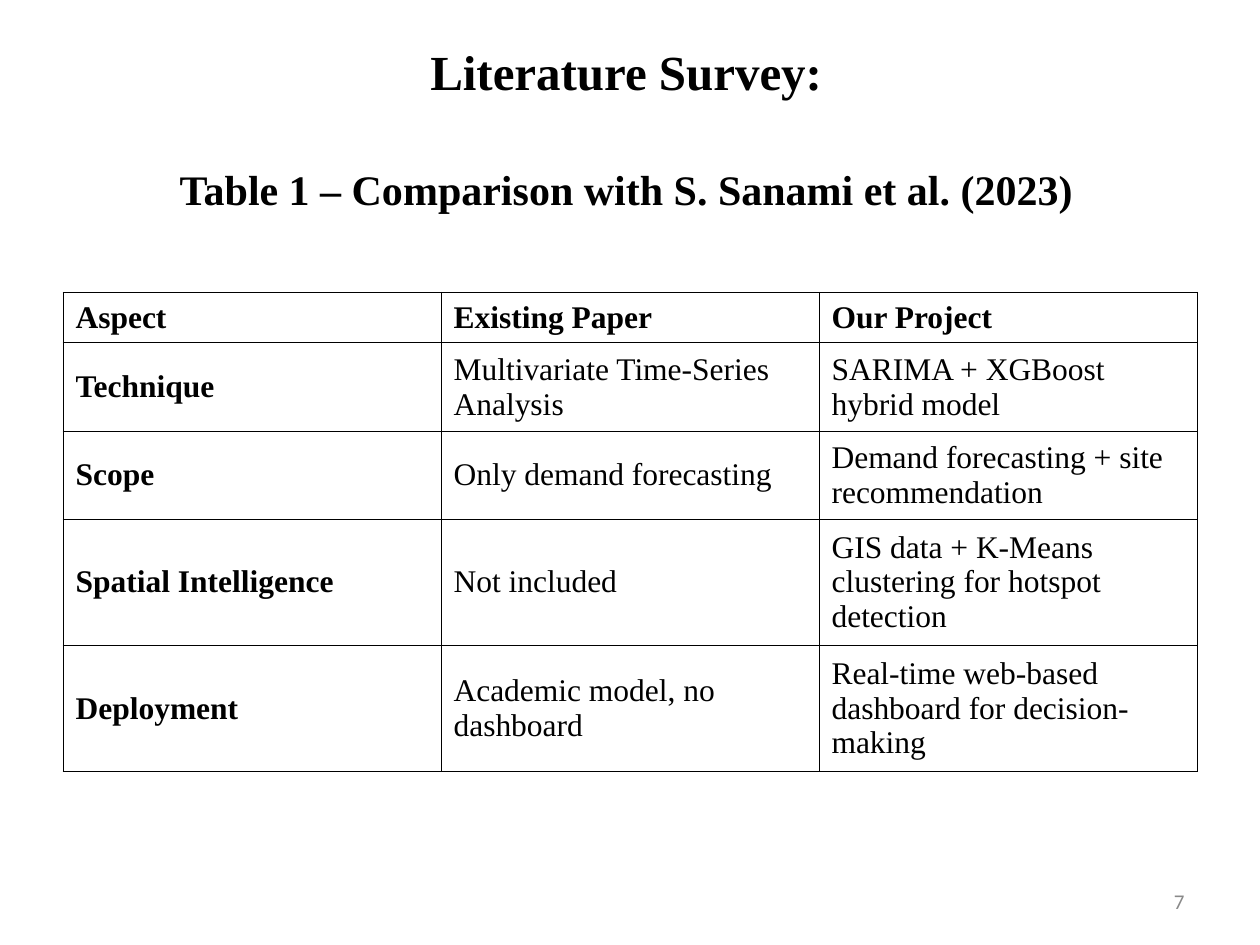
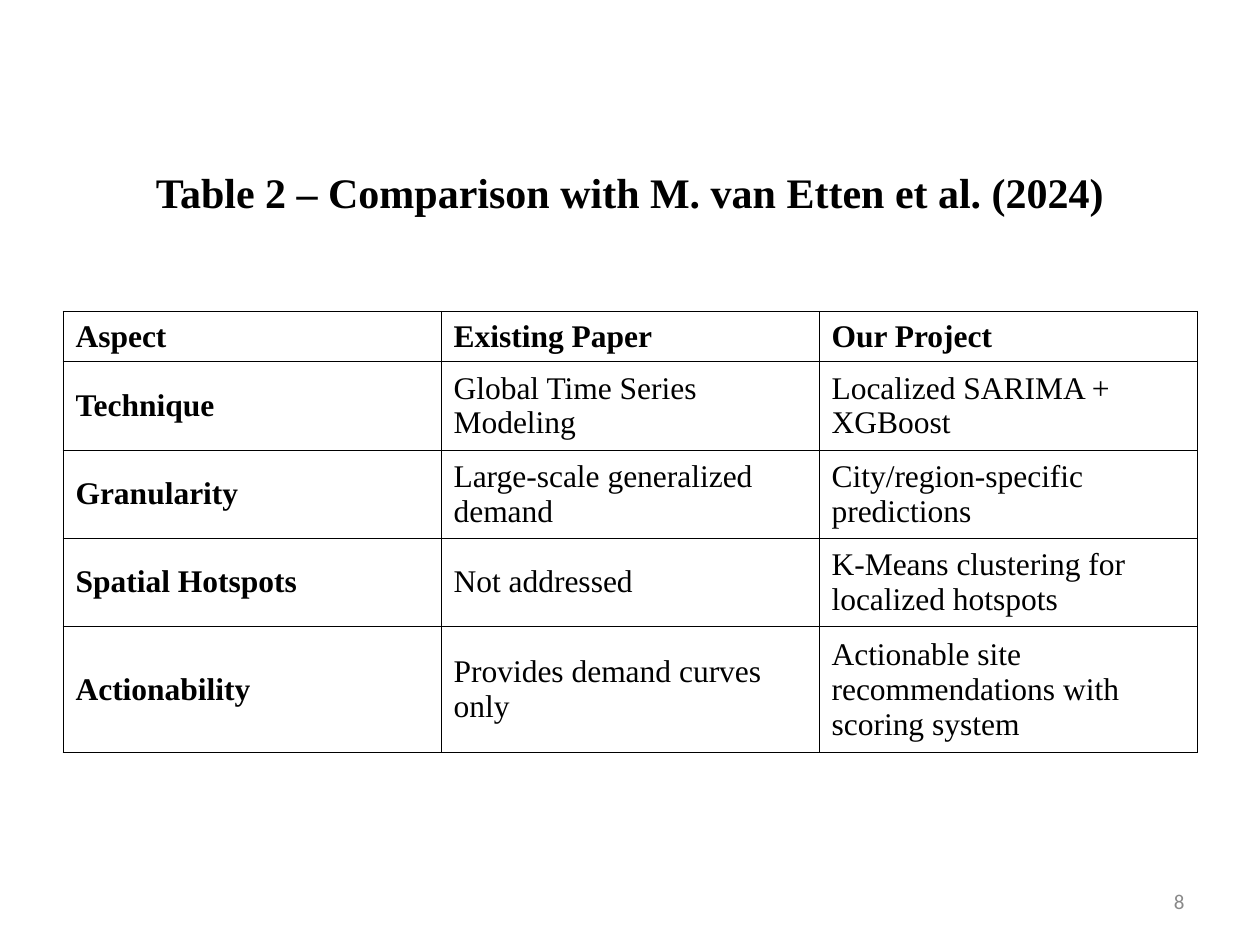
from lxml import etree
from pptx import Presentation
from pptx.dml.color import RGBColor
from pptx.enum.text import MSO_ANCHOR, PP_ALIGN
from pptx.oxml.ns import qn
from pptx.util import Inches, Pt

MIDDLE, TOP = MSO_ANCHOR.MIDDLE, MSO_ANCHOR.TOP
CENTER, RIGHT = PP_ALIGN.CENTER, PP_ALIGN.RIGHT
COLORS = {"paper": "FFFFFF", "ink": "000000", "page": "898989"}
SERIF, SANS = "Times New Roman", "Calibri"

WIDTH, HEIGHT = 10, 7.5
MARGIN = WIDTH / 20
CONTENT_WIDTH = WIDTH - 2 * MARGIN
TITLE_HEIGHT = HEIGHT / 6
LINE_HEIGHT, ROW_PADDING = 0.3, 0.1
BORDER = Pt(0.45)
HEADER = ("Aspect", "Existing Paper", "Our Project")

# Each row starts with the number of text lines it is tall enough for.
SURVEYS = [
    {
        "page": "7",
        "title": [("Literature Survey:", 28),
                  ("Table 1 – Comparison with S. Sanami et al. (2023)", 24)],
        "title_at": (0.47, 0.33),
        "title_anchor": TOP,
        "table_top": 2.32,
        "rows": [
            (1, HEADER),
            (2, ("Technique", "Multivariate Time-Series Analysis",
                 "SARIMA + XGBoost hybrid model")),
            (2, ("Scope", "Only demand forecasting",
                 "Demand forecasting + site recommendation")),
            (3, ("Spatial Intelligence", "Not included",
                 "GIS data + K-Means clustering for hotspot detection")),
            (3, ("Deployment", "Academic model, no dashboard",
                 "Real-time web-based dashboard for decision-making")),
        ],
    },
    {
        "page": "8",
        "title": [("Table 2 – Comparison with M. van Etten et al. (2024)", 24)],
        "title_at": (MARGIN, 0.9),
        "title_anchor": MIDDLE,
        "table_top": 2.47,
        "rows": [
            (1, HEADER),
            (2, ("Technique", "Global Time Series Modeling",
                 "Localized SARIMA + XGBoost")),
            (2, ("Granularity", "Large-scale generalized demand",
                 "City/region-specific predictions")),
            (2, ("Spatial Hotspots", "Not addressed",
                 "K-Means clustering for localized hotspots")),
            (3, ("Actionability", "Provides demand curves only",
                 "Actionable site recommendations with scoring system")),
        ],
    },
]


def add_run(paragraph, text, size, font=SERIF, color="ink", bold=False):
    run = paragraph.add_run()
    run.text = text
    run.font.name = font
    run.font.size = Pt(size)
    run.font.bold = bold
    run.font.color.rgb = RGBColor.from_string(COLORS[color])


def outline_cell(cell):
    """Draw a thin line on all four sides of a table cell."""
    properties = cell._tc.get_or_add_tcPr()
    for side in ("lnL", "lnR", "lnT", "lnB"):
        line = etree.SubElement(properties, qn(f"a:{side}"), w=str(BORDER))
        fill = etree.SubElement(line, qn("a:solidFill"))
        etree.SubElement(fill, qn("a:srgbClr"), val=COLORS["ink"])


prs = Presentation()
prs.slide_width, prs.slide_height = Inches(WIDTH), Inches(HEIGHT)
blank = prs.slide_layouts[6]

for survey in SURVEYS:
    slide = prs.slides.add_slide(blank)
    slide.background.fill.solid()
    slide.background.fill.fore_color.rgb = RGBColor.from_string(COLORS["paper"])

    left, top = survey["title_at"]
    title = slide.shapes.add_textbox(
        Inches(left), Inches(top), Inches(CONTENT_WIDTH), Inches(TITLE_HEIGHT)).text_frame
    title.word_wrap = True
    title.vertical_anchor = survey["title_anchor"]
    title.margin_top = title.margin_bottom = 0
    for index, (text, size) in enumerate(survey["title"]):
        heading = title.add_paragraph() if index else title.paragraphs[0]
        heading.alignment = CENTER
        if index:
            heading.space_before = Pt(36)
        add_run(heading, text, size, bold=True)

    heights = [ROW_PADDING + LINE_HEIGHT * lines for lines, _ in survey["rows"]]
    comparison = slide.shapes.add_table(
        len(heights), len(HEADER), Inches(MARGIN), Inches(survey["table_top"]),
        Inches(CONTENT_WIDTH), Inches(sum(heights))).table
    comparison.horz_banding = False
    for r, (_, entries) in enumerate(survey["rows"]):
        comparison.rows[r].height = Inches(heights[r])
        for c, entry in enumerate(entries):
            cell = comparison.cell(r, c)
            cell.vertical_anchor = MIDDLE
            outline_cell(cell)
            cell.fill.background()
            add_run(cell.text_frame.paragraphs[0], entry, 18, bold=r == 0 or c == 0)

    page = slide.shapes.add_textbox(
        Inches(7.17), Inches(6.95), Inches(2.33), Inches(0.4)).text_frame
    page.word_wrap = True
    page.vertical_anchor = MIDDLE
    page.paragraphs[0].alignment = RIGHT
    add_run(page.paragraphs[0], survey["page"], 12, font=SANS, color="page")

prs.save("out.pptx")
